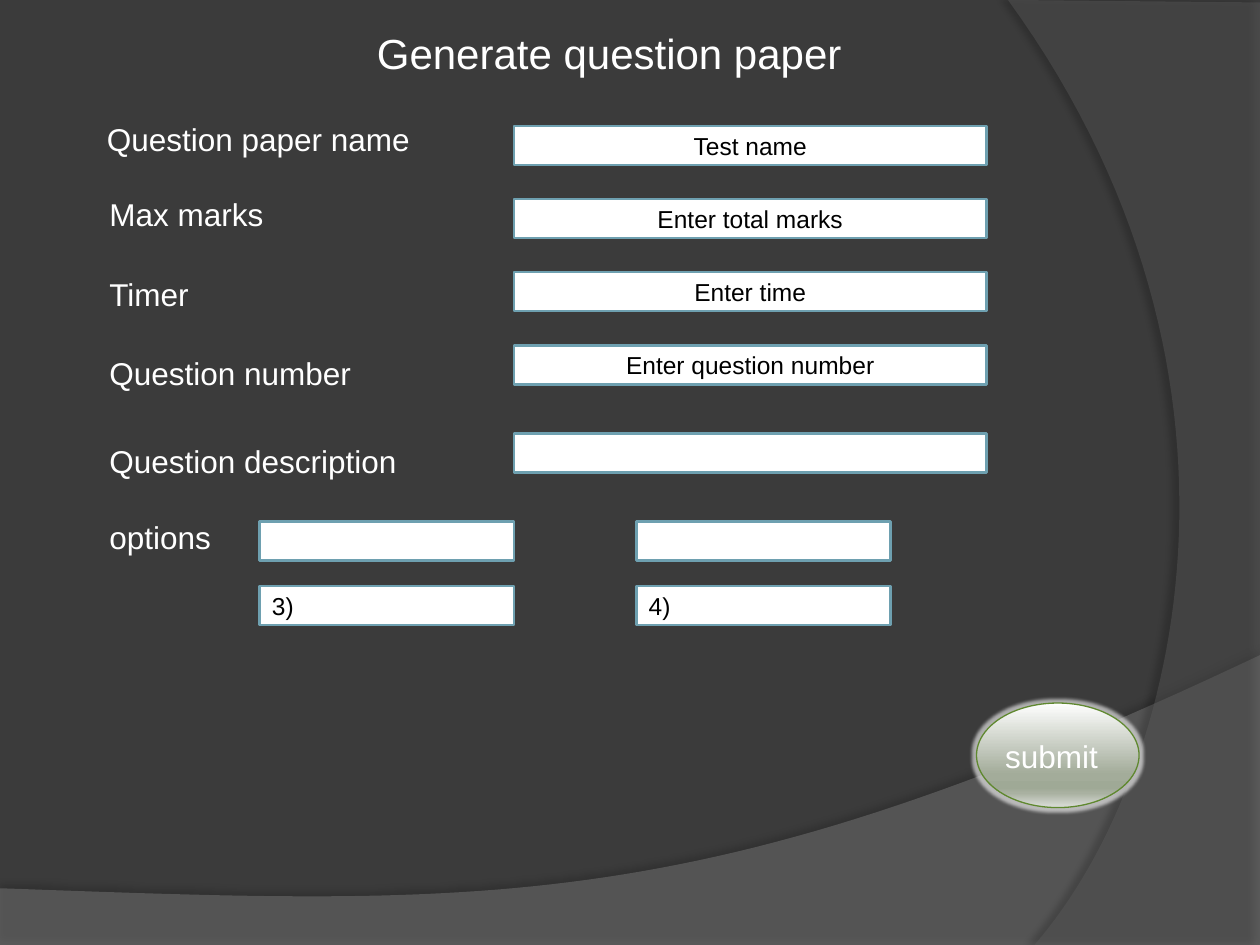
"""Build the form slide for generating a question paper."""
import lxml.etree
import pptx
import pptx.dml.color
import pptx.enum.shapes
import pptx.enum.text
import pptx.oxml.ns
import pptx.util

Inches = pptx.util.Inches
Pt = pptx.util.Pt
Align = pptx.enum.text.PP_ALIGN
Anchor = pptx.enum.text.MSO_ANCHOR
Kind = pptx.enum.shapes.MSO_SHAPE
HUES = {
    "back": "3B3B3B", "low": "7F7F7F", "side": "5E5E5E", "text": "FFFFFF",
    "field": "FFFFFF", "edge": "6EA0B0", "ink": "000000", "rim": "5F882F",
    "glow": "FFFFFF", "shade": "000000",
}
SHINE = [(0, "FEFEFE"), (68, "A3AC9A"), (81, "9FA996"), (86, "A9B1A1"), (100, "DBDED9")]


def curve(start, first, second, end, steps=60):
    """Return points along a cubic curve, without its start."""
    points = []
    for step in range(1, steps + 1):
        t = step / steps
        parts = ((1 - t) ** 3, 3 * t * (1 - t) ** 2, 3 * t * t * (1 - t), t ** 3)
        points.append(tuple(
            sum(part * value for part, value in zip(parts, axis))
            for axis in zip(start, first, second, end)))
    return points


def node(parent, tag, **attrs):
    """Add a drawing element to its parent."""
    name = pptx.oxml.ns.qn("a:" + tag)
    texts = {key: str(value) for key, value in attrs.items()}
    return lxml.etree.SubElement(parent, name, texts)


def tint(parent, hue, alpha):
    """Add a colour with an alpha percentage."""
    node(node(parent, "srgbClr", val=hue), "alpha", val=alpha * 1000)


class Form:
    """Hold the style and the current slide."""

    font = "Arial"

    def __init__(self, deck):
        """Add a slide with the plain background."""
        self.slide = deck.slides.add_slide(deck.slide_layouts[5])
        self.shapes = self.slide.shapes
        self.paint(self.slide.background.fill, "back")

    def paint(self, fill, hue):
        """Give a solid fill."""
        fill.solid()
        fill.fore_color.rgb = pptx.dml.color.RGBColor.from_string(HUES[hue])

    def letter(self, shape, text, size, hue, align, anchor=Anchor.TOP):
        """Set one styled paragraph in a shape."""
        frame = shape.text_frame
        frame.word_wrap = True
        frame.vertical_anchor = anchor
        frame.text = text
        para = frame.paragraphs[0]
        para.alignment = align
        para.font.name = self.font
        para.font.size = Pt(size)
        para.font.color.rgb = pptx.dml.color.RGBColor.from_string(HUES[hue])

    def effect(self, shape, tag, hue, alpha, **attrs):
        """Add one effect to a shape."""
        shape.shadow.inherit = False
        group = shape.element.spPr.find(pptx.oxml.ns.qn("a:effectLst"))
        tint(node(group, tag, **attrs), HUES[hue], alpha)

    def title(self, text):
        """Place the title."""
        shape = self.shapes.title
        shape.left, shape.top = Inches(1.42), Inches(0.17)
        shape.width, shape.height = Inches(6.83), Inches(0.5)
        self.letter(shape, text, 24, "text", Align.CENTER)

    def wave(self, points, hue, alpha, shade, blur, dist, turn):
        """Draw a clear curved band with a soft shadow."""
        spots = [(Inches(x), Inches(y)) for x, y in points]
        maker = self.shapes.build_freeform(*spots[0])
        maker.add_line_segments(spots[1:], close=True)
        shape = maker.convert_to_shape()
        self.paint(shape.fill, hue)
        color = shape.element.spPr.find(".//" + pptx.oxml.ns.qn("a:srgbClr"))
        node(color, "alpha", val=alpha * 1000)
        shape.line.fill.background()
        self.effect(shape, "outerShdw", "shade", shade, blurRad=Pt(blur),
                    dist=Pt(dist), dir=turn * 60000, algn="ctr", rotWithShape=0)

    def label(self, text, left, top, width):
        """Place a left-aligned label."""
        shape = self.shapes.add_textbox(
            Inches(left), Inches(top), Inches(width), Inches(0.4))
        self.letter(shape, text, 18, "text", Align.LEFT)
        shape.text_frame.auto_size = pptx.enum.text.MSO_AUTO_SIZE.SHAPE_TO_FIT_TEXT

    def field(self, text, left, top, width, align):
        """Draw an input box, with its text if any."""
        shape = self.shapes.add_shape(
            Kind.RECTANGLE, Inches(left), Inches(top), Inches(width), Inches(0.31))
        shape.shadow.inherit = False
        self.paint(shape.fill, "field")
        self.paint(shape.line.fill, "edge")
        shape.line.width = Pt(1.5)
        if text:
            self.letter(shape, text, 14, "ink", align, Anchor.MIDDLE)

    def button(self, left, top, width, height):
        """Draw the shiny oval button."""
        shape = self.shapes.add_shape(
            Kind.OVAL, Inches(left), Inches(top), Inches(width), Inches(height))
        self.paint(shape.line.fill, "rim")
        shape.line.width = Pt(0.75)
        shape.fill.background()
        props = shape.element.spPr
        blend = node(props, "gradFill", rotWithShape=1)
        stops = node(blend, "gsLst")
        for place, hue in SHINE:
            node(node(stops, "gs", pos=place * 1000), "srgbClr", val=hue)
        node(blend, "lin", ang=90 * 60000, scaled=0)
        props.replace(props.find(pptx.oxml.ns.qn("a:noFill")), blend)
        self.effect(shape, "glow", "glow", 60, rad=Pt(4))


def main():
    """Build and save the deck."""
    deck = pptx.Presentation()
    deck.slide_width, deck.slide_height = Inches(10), Inches(7.5)
    form = Form(deck)
    low = curve((10, 5.2), (5.59, 7.29), (3.91, 7.19), (0, 7.05))
    form.wave([(0, 7.5), (10, 7.5), (10, 5.2)] + low, "low", 45, 35, 4, 3.5, 270)
    side = curve((8.21, 7.5), (9.35, 6.19), (10.18, 3), (8, 0))
    form.wave([(10, 0.02), (10, 7.5), (8.21, 7.5)] + side, "side", 40, 45, 4, 4, 180)
    form.title("Generate question paper")
    rows = [
        ("Question paper name", 0.75, 0.9, "Test name", 1),
        ("Max marks", 0.77, 1.5, "Enter total marks", 1.58),
        ("Timer", 0.77, 2.13, "Enter time", 2.16),
        ("Question number", 0.77, 2.76, "Enter question number", 2.74),
        ("Question description", 0.77, 3.46, "", 3.44),
    ]
    for name, left, top, hint, line in rows:
        form.label(name, left, top, 3.08)
        form.field(hint, 4.08, line, 3.75, Align.CENTER)
    form.label("options", 0.77, 4.06, 2.88)
    for index, text in enumerate(["", "", "3)", "4)"]):
        row, col = divmod(index, 2)
        form.field(text, 2.06 + 2.99 * col, 4.14 + 0.51 * row, 2.02, Align.LEFT)
    form.button(7.75, 5.58, 1.29, 0.83)
    form.label("submit", 7.88, 5.8, 1.17)
    deck.save("out.pptx")


if __name__ == "__main__":
    main()
